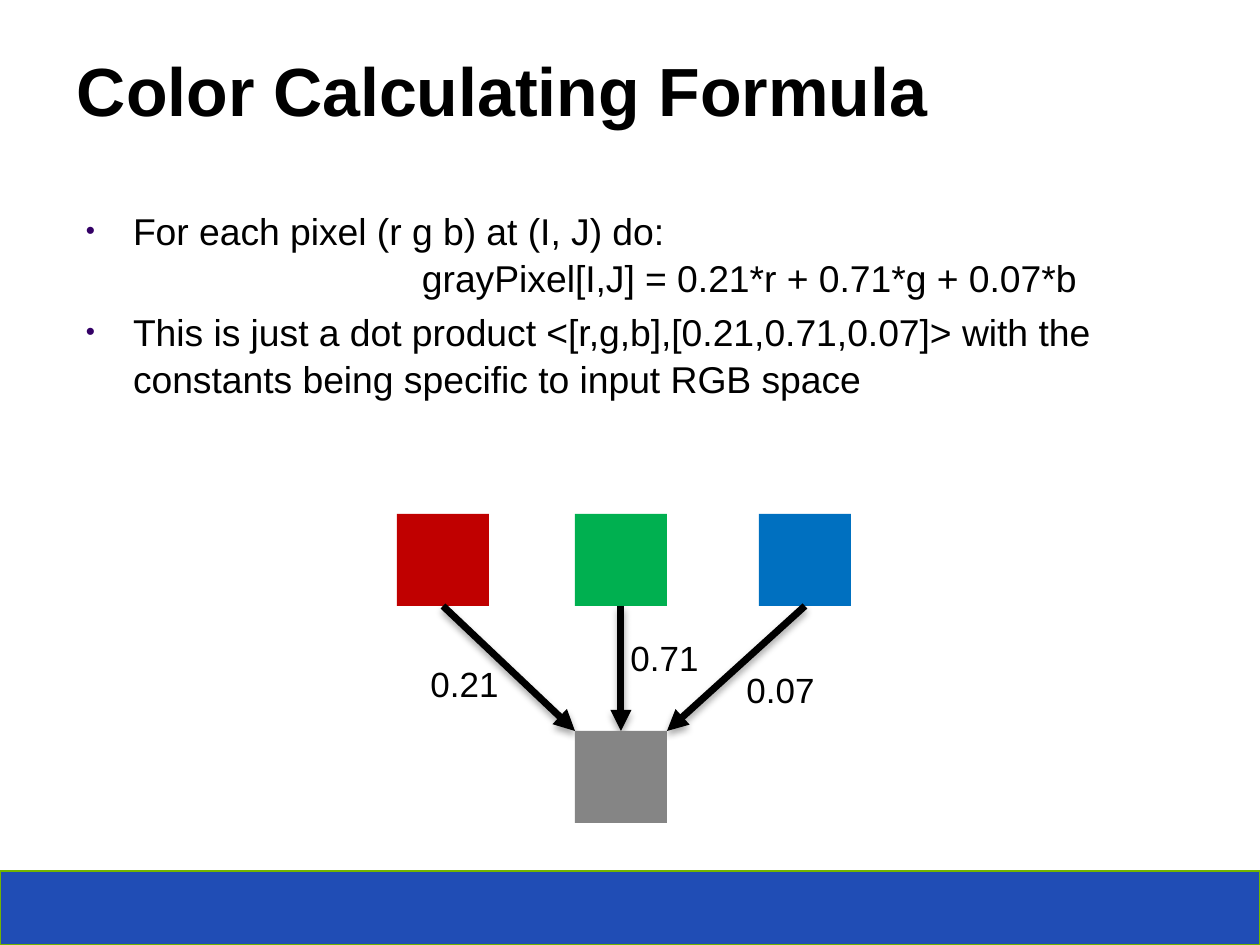
from dataclasses import dataclass

from pptx import Presentation
from pptx.dml.color import RGBColor
from pptx.enum.shapes import MSO_CONNECTOR as Link, MSO_SHAPE as Form
from pptx.enum.text import MSO_ANCHOR as Anchor, PP_ALIGN as Align
from pptx.oxml import parse_xml
from pptx.oxml.ns import nsdecls
from pptx.util import Emu, Pt

SCALE = 914400 / 168
SIDE = 92
TOP, BASE = 514, 731
MID = 575
INK = "000000"


def px(n: int) -> Emu:
    return Emu(round(n * SCALE))


def tint(code: str) -> RGBColor:
    return RGBColor.from_string(code)


@dataclass
class Channel:
    left: int
    color: str
    end: int
    weight: str
    label: tuple[int, int]


@dataclass
class Block:
    box: tuple[int, int, int, int]
    lines: list[str]
    size: float
    anchor: Anchor
    bold: bool = False
    wrap: bool = True
    inset: tuple[int, int] = (13, 6)


channels = [
    Channel(397, "C00000", MID, "0.21", (413, 659)),
    Channel(MID, "00B050", MID + SIDE // 2, "0.71", (613, 633)),
    Channel(759, "0070C0", MID + SIDE, "0.07", (729, 665)),
]

title = Block((64, 32, 1028, 104), ["Color Calculating Formula"],
              29.2, Anchor.BOTTOM, bold=True)
body = Block((72, 202, 1074, 450), [
    "For each pixel (r g b) at (I, J) do:\v"
    "\t\tgrayPixel[I,J] = 0.21*r + 0.71*g + 0.07*b",
    "This is just a dot product <[r,g,b],[0.21,0.71,0.07]> with the "
    "constants being specific to input RGB space",
], 16, Anchor.TOP, inset=(14, 4))

deck = Presentation()
deck.slide_width, deck.slide_height = px(1260), px(945)
slide = deck.slides.add_slide(deck.slide_layouts[6])
shapes = slide.shapes


def add_rect(x: int, y: int, w: int, h: int, fill: str, edge: str = ""):
    rect = shapes.add_shape(Form.RECTANGLE, px(x), px(y), px(w), px(h))
    rect.shadow.inherit = False
    rect.fill.solid()
    rect.fill.fore_color.rgb = tint(fill)
    if edge:
        rect.line.color.rgb = tint(edge)
        rect.line.width = Pt(0.75)
    else:
        rect.line.fill.background()


def add_text(block: Block) -> list:
    frame = shapes.add_textbox(*map(px, block.box)).text_frame
    frame.word_wrap = block.wrap
    frame.vertical_anchor = block.anchor
    side, rim = map(px, block.inset)
    frame.margin_left = frame.margin_right = side
    frame.margin_top = frame.margin_bottom = rim
    frame.text = "\n".join(block.lines)
    for para in frame.paragraphs:
        for run in para.runs:
            font = run.font
            font.name, font.size, font.bold = "Arial", Pt(block.size), block.bold
            font.color.rgb = tint(INK)
    return list(frame.paragraphs)


def add_bullet(para) -> None:
    para.line_spacing = 1.05
    para.space_before = Pt(3.2)
    props = para._p.get_or_add_pPr()
    props.set("marL", str(px(47)))
    props.set("indent", str(-px(47)))
    props.set("defTabSz", str(px(168)))
    for tag in (
        '<a:buClr {}><a:srgbClr val="330066"/></a:buClr>',
        '<a:buSzPct {} val="70000"/>',
        '<a:buFont {} typeface="Arial"/>',
        '<a:buChar {} char="•"/>',
    ):
        props.append(parse_xml(tag.format(nsdecls("a"))))


def add_arrow(x1: int, y1: int, x2: int, y2: int) -> None:
    arrow = shapes.add_connector(Link.STRAIGHT, px(x1), px(y1), px(x2), px(y2))
    arrow.line.color.rgb = tint(INK)
    arrow.line.width = Pt(3)
    ns = nsdecls("a")
    arrow.line._get_or_add_ln().append(
        parse_xml(f'<a:tailEnd {ns} type="triangle"/>'))
    arrow._element.spPr.append(parse_xml(
        f'<a:effectLst {ns}><a:outerShdw blurRad="{Pt(3.1)}" dist="{Pt(1.8)}" '
        f'dir="5400000" rotWithShape="0"><a:srgbClr val="{INK}">'
        '<a:alpha val="35000"/></a:srgbClr></a:outerShdw></a:effectLst>'))


# Footer band
add_rect(0, 871, 1260, 74, "204DB5", "72B400")

# Title and bullets
add_text(title)
for item in add_text(body):
    add_bullet(item)

# Colour channels, arrows and weights
for chan in channels:
    add_rect(chan.left, TOP, SIDE, SIDE, chan.color)
    add_arrow(chan.left + SIDE // 2, TOP + SIDE, chan.end, BASE)
    label = Block((*chan.label, 103, 55), [chan.weight], 15,
                  Anchor.MIDDLE, wrap=False)
    for para in add_text(label):
        para.alignment = Align.CENTER
        para.line_spacing = 0.9

# Gray result
add_rect(MID, BASE, SIDE, SIDE, "858585")

deck.save("out.pptx")
